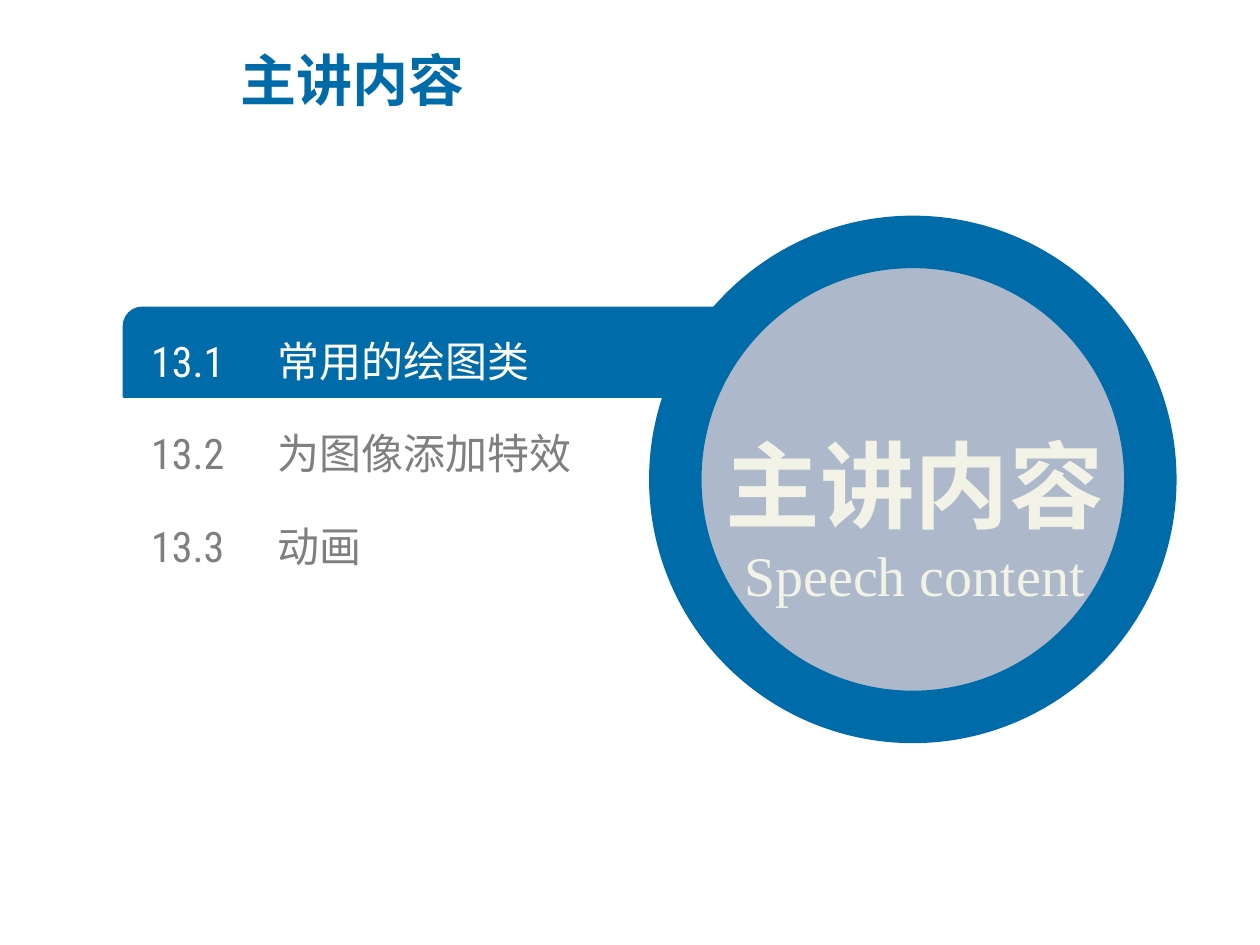
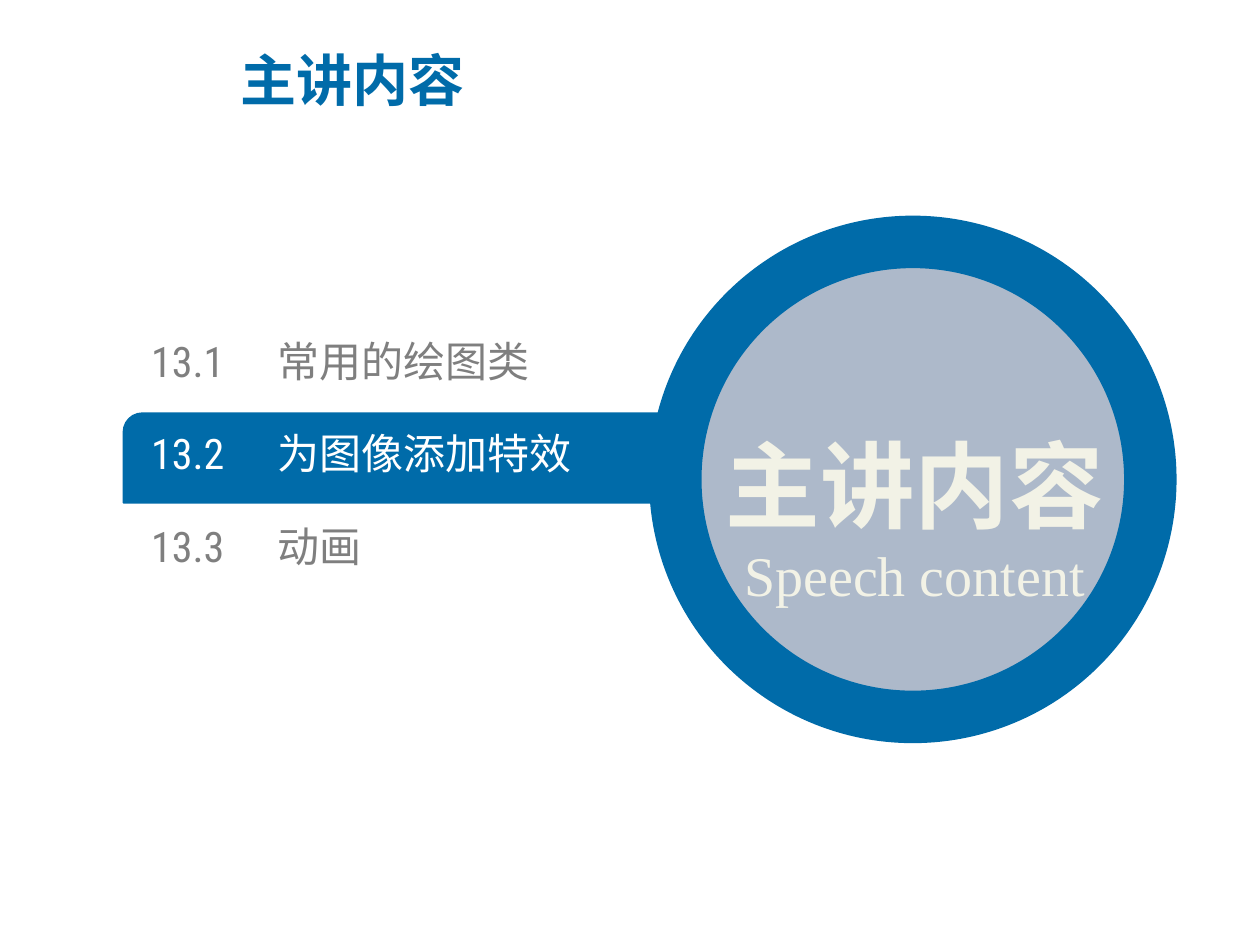
from dataclasses import dataclass

from lxml import etree
from pptx import Presentation
from pptx.dml.color import RGBColor
from pptx.enum.shapes import MSO_SHAPE
from pptx.enum.text import MSO_ANCHOR, MSO_AUTO_SIZE, PP_ALIGN
from pptx.oxml.ns import qn
from pptx.util import Emu, Inches, Pt

LEFT, CENTER = PP_ALIGN.LEFT, PP_ALIGN.CENTER
MIDDLE = MSO_ANCHOR.MIDDLE
FIXED, GROW = MSO_AUTO_SIZE.NONE, MSO_AUTO_SIZE.SHAPE_TO_FIT_TEXT
ELLIPSE = MSO_SHAPE.OVAL
ROUND_BAR = MSO_SHAPE.ROUND_2_DIAG_RECTANGLE
TITLE_AND_CONTENT = 1
COLS, ROWS = 100, 75


@dataclass(frozen=True)
class Theme:
    # Colours
    blue: str = "006BA9"
    disc: str = "ADB9CA"
    cream: str = "F2F2E6"
    grey: str = "7F7F7F"
    white: str = "FFFFFF"
    # Fonts
    cjk: str = "Noto Sans CJK SC"
    item_font: str = "Roboto Condensed"
    serif: str = "Times New Roman"
    # Type sizes, in points
    title: int = 32
    item: int = 24
    headline: int = 54
    subline: int = 32
    # Agenda spacing
    item_gap: int = 24
    tab: float = 0.97


class Deck:
    def __init__(self, theme):
        self.theme = theme
        self.prs = Presentation()
        self.prs.slide_width, self.prs.slide_height = Inches(10), Inches(7.5)
        self.s = None

    def new_slide(self):
        layout = self.prs.slide_layouts[TITLE_AND_CONTENT]
        self.s = self.prs.slides.add_slide(layout)

    def box(self, col, row, cols, rows):
        """Turn grid columns and rows into lengths."""
        x, y = self.prs.slide_width / COLS, self.prs.slide_height / ROWS
        return [Emu(round(n)) for n in (col * x, row * y, cols * x, rows * y)]

    def place(self, sp, at):
        sp.left, sp.top, sp.width, sp.height = self.box(*at)

    def format(self, p, size, font, color, bold=False, align=LEFT):
        p.alignment = align
        for r in p.runs:
            r.font.size, r.font.bold, r.font.name = Pt(size), bold, font
            r.font.color.rgb = RGBColor.from_string(color)
            ea = etree.SubElement(r.font._element, qn("a:ea"))
            ea.set("typeface", self.theme.cjk)

    def frame(self, sp, auto_size):
        tf = sp.text_frame
        tf.word_wrap, tf.auto_size = True, auto_size
        tf.vertical_anchor = MIDDLE
        return tf

    def title(self, text, at):
        t, sp = self.theme, self.s.shapes.title
        self.place(sp, at)
        tf = self.frame(sp, FIXED)
        tf.text = text
        self.format(tf.paragraphs[0], t.title, t.cjk, t.blue, bold=True)

    def agenda(self, items, active, at):
        """Numbered list in the body placeholder, active item in white."""
        t, sp = self.theme, self.s.placeholders[1]
        self.place(sp, at)
        tf = self.frame(sp, FIXED)
        tf.margin_left = tf.margin_right = tf.margin_top = tf.margin_bottom = 0
        tf.text = "\n".join(f"{number}\t{name}" for number, name in items)
        for i, p in enumerate(tf.paragraphs):
            color = t.white if i == active else t.grey
            self.format(p, t.item, t.item_font, color)
            p.space_before = Pt(t.item_gap if i else 0)
            # No bullet, and a tab stop between number and name
            pPr = p._p.get_or_add_pPr()
            pPr.set("marL", "0")
            pPr.set("indent", "0")
            etree.SubElement(pPr, qn("a:buNone"))
            tabs = etree.SubElement(pPr, qn("a:tabLst"))
            etree.SubElement(tabs, qn("a:tab"), pos=str(Inches(t.tab)), algn="l")
        return sp

    def shape(self, kind, at, fill, line_width):
        sp = self.s.shapes.add_shape(kind, *self.box(*at))
        sp.shadow.inherit = False
        sp.fill.solid()
        sp.fill.fore_color.rgb = RGBColor.from_string(fill)
        sp.line.color.rgb = RGBColor.from_string(self.theme.blue)
        sp.line.width = Pt(line_width)
        return sp

    def disc_label(self, headline, subline, at):
        t = self.theme
        tf = self.frame(self.s.shapes.add_textbox(*self.box(*at)), GROW)
        tf.text = f"{headline}\n{subline}"
        first, second = tf.paragraphs
        first.line_spacing = 1.5
        self.format(first, t.headline, t.cjk, t.cream, True, CENTER)
        self.format(second, t.subline, t.serif, t.cream, align=CENTER)


HEADING = "主讲内容"
SECTIONS = [("13.1", "常用的绘图类"), ("13.2", "为图像添加特效"), ("13.3", "动画")]
BAR_TOP, BAR_STEP = 24.4, 8.4


def agenda_slide(deck, active):
    t = deck.theme
    deck.new_slide()
    deck.title(HEADING, (18.1, 2.1, 56.3, 8.4))

    # Section list with the highlight bar behind it
    body = deck.agenda(SECTIONS, active, (12, 25.8, 41.9, 20.3))
    bar_at = (9.8, BAR_TOP + active * BAR_STEP, 53.5, 7.1)
    bar = deck.shape(ROUND_BAR, bar_at, t.blue, 1)
    bar.adjustments[0], bar.adjustments[1] = 0.21, 0
    body.element.addprevious(bar.element)

    # Ringed disc and its label
    deck.shape(ELLIPSE, (53.6, 19.2, 37.7, 37.7), t.disc, 30)
    deck.disc_label(HEADING, "Speech content", (53.1, 28.8, 39, 20))


def main():
    deck = Deck(Theme())
    for active in range(2):
        agenda_slide(deck, active)
    deck.prs.save("out.pptx")


if __name__ == "__main__":
    main()
